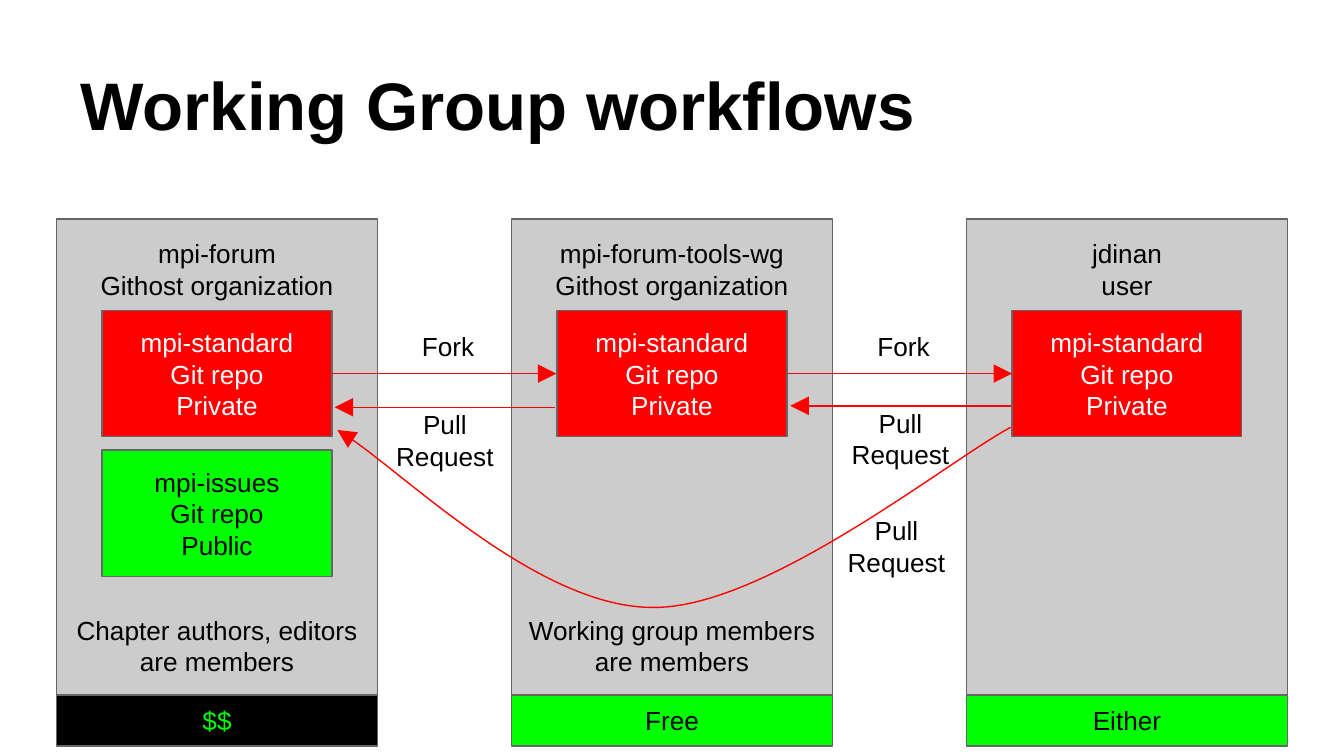
from lxml import etree
from pptx import Presentation
from pptx.dml.color import RGBColor
from pptx.enum.shapes import MSO_CONNECTOR, MSO_SHAPE
from pptx.enum.text import MSO_ANCHOR, PP_ALIGN
from pptx.oxml.ns import qn
from pptx.util import Inches, Pt

BLACK = RGBColor(0x00, 0x00, 0x00)
WHITE = RGBColor(0xFF, 0xFF, 0xFF)
RED = RGBColor(0xFF, 0x00, 0x00)
GREEN = RGBColor(0x00, 0xFF, 0x00)
PANEL_GREY = RGBColor(0xCC, 0xCC, 0xCC)
BORDER_GREY = RGBColor(0x66, 0x66, 0x66)

# Content
TITLE = "Working Group workflows"
STANDARD_REPO = (["mpi-standard", "Git repo", "Private"], RED, WHITE)
ISSUES_REPO = (["mpi-issues", "Git repo", "Public"], GREEN, BLACK)
OWNERS = [
    {"heading": ["mpi-forum", "Githost organization"],
     "members": "Chapter authors, editors are members",
     "repos": [STANDARD_REPO, ISSUES_REPO], "cost": ("$$", BLACK, GREEN)},
    {"heading": ["mpi-forum-tools-wg", "Githost organization"],
     "members": "Working group members are members",
     "repos": [STANDARD_REPO], "cost": ("Free", GREEN, BLACK)},
    {"heading": ["jdinan", "user"], "members": None,
     "repos": [STANDARD_REPO], "cost": ("Either", GREEN, BLACK)},
]
# Arrows: start x, end x, y
ARROWS = [(2.47, 4.14, 2.78), (5.86, 7.53, 2.78),
          (4.13, 2.49, 3.03), (7.52, 5.88, 3.02)]
# Labels: text, left, top, width, alignment
LABELS = [
    ("Fork", 3.04, 2.36, 0.71, PP_ALIGN.LEFT),
    ("Fork", 6.43, 2.36, 0.71, PP_ALIGN.LEFT),
    ("Pull Request", 2.7, 2.94, 1.22, PP_ALIGN.CENTER),
    ("Pull Request", 6.09, 2.93, 1.22, PP_ALIGN.CENTER),
    ("Pull Request", 6.06, 3.73, 1.22, PP_ALIGN.CENTER),
]
# Curved pull request: start, then three points for each Bezier segment
CURVE = [(7.52, 3.18), (7.08, 3.41), (5.71, 4.52), (4.87, 4.52),
         (4.04, 4.53), (2.9, 3.42), (2.51, 3.2)]

# Layout
SLIDE_WIDTH = 10
SLIDE_HEIGHT = SLIDE_WIDTH * 9 / 16
COLUMN_LEFT, COLUMN_STEP, COLUMN_WIDTH = 0.42, 6.77 / 2, 2.39
PANEL_TOP, PANEL_HEIGHT, COST_HEIGHT = 1.63, 3.54, 0.38
REPO_INDENT, REPO_TOP, REPO_STEP = 0.34, 2.31, 1.04
REPO_WIDTH, REPO_HEIGHT = 1.71, 0.94
LINE_PITCH = 16.8
MEMBERS_GAP = 10 * LINE_PITCH

presentation = Presentation()
presentation.slide_width = Inches(SLIDE_WIDTH)
presentation.slide_height = Inches(SLIDE_HEIGHT)
slide = presentation.slides.add_slide(presentation.slide_layouts[6])
shapes = slide.shapes


def write(shape, lines, color, align=PP_ALIGN.CENTER, anchor=MSO_ANCHOR.MIDDLE,
          size=14, bold=False, pitch=LINE_PITCH):
    frame = shape.text_frame
    frame.word_wrap = True
    frame.vertical_anchor = anchor
    frame.margin_left = frame.margin_right = Inches(0.1)
    frame.margin_top = frame.margin_bottom = Inches(0.1)
    for index, line in enumerate(lines):
        paragraph = frame.add_paragraph() if index else frame.paragraphs[0]
        paragraph.alignment = align
        if pitch:
            paragraph.line_spacing = Pt(pitch)
        run = paragraph.add_run()
        run.text = line
        run.font.name, run.font.size, run.font.bold = "Arial", Pt(size), bold
        run.font.color.rgb = color
    return frame


def add_text(lines, left, top, width, height, **style):
    box = shapes.add_textbox(*map(Inches, (left, top, width, height)))
    write(box, lines, BLACK, **style)


def add_box(left, top, width, height, fill):
    box = shapes.add_shape(MSO_SHAPE.RECTANGLE,
                           *map(Inches, (left, top, width, height)))
    box.shadow.inherit = False
    box.fill.solid()
    box.fill.fore_color.rgb = fill
    box.line.color.rgb = BORDER_GREY
    box.line.width = Pt(0.75)
    return box


def style_arrow(shape):
    shape.line.color.rgb = RED
    shape.line.width = Pt(0.75)
    etree.SubElement(shape.line._get_or_add_ln(), qn("a:tailEnd"),
                     type="triangle", w="lg", len="lg")


# Title
add_text([TITLE], 0.5, 0.23, 9, 0.94, align=PP_ALIGN.LEFT,
         anchor=MSO_ANCHOR.BOTTOM, size=36, bold=True, pitch=None)

# Owner columns with their repositories and cost bars
for column, owner in enumerate(OWNERS):
    left = COLUMN_LEFT + column * COLUMN_STEP
    panel = add_box(left, PANEL_TOP, COLUMN_WIDTH, PANEL_HEIGHT, PANEL_GREY)
    lines = owner["heading"] + ([owner["members"]] if owner["members"] else [])
    frame = write(panel, lines, BLACK, anchor=MSO_ANCHOR.TOP)
    frame.margin_top = Inches(0.14)
    if owner["members"]:
        frame.paragraphs[-1].space_before = Pt(MEMBERS_GAP)

    for row, (repo_lines, fill, color) in enumerate(owner["repos"]):
        repo = add_box(left + REPO_INDENT, REPO_TOP + row * REPO_STEP,
                       REPO_WIDTH, REPO_HEIGHT, fill)
        write(repo, repo_lines, color)

    cost, fill, color = owner["cost"]
    bar = add_box(left, PANEL_TOP + PANEL_HEIGHT, COLUMN_WIDTH, COST_HEIGHT, fill)
    write(bar, [cost], color)

# Straight arrows
for start, end, y in ARROWS:
    arrow = shapes.add_connector(MSO_CONNECTOR.STRAIGHT,
                                 *map(Inches, (start, y, end, y)))
    style_arrow(arrow)
    etree.SubElement(arrow._element.spPr, qn("a:effectLst"))

# Curved arrow: every three line points become one Bezier segment
points = [(Inches(x), Inches(y)) for x, y in CURVE]
builder = shapes.build_freeform(*points[0])
builder.add_line_segments(points[1:], close=False)
curve = builder.convert_to_shape()
curve.shadow.inherit = False
curve.fill.background()
style_arrow(curve)
outline = curve._element.spPr.find(".//" + qn("a:path"))
segments = outline.findall(qn("a:lnTo"))
for first in range(0, len(segments), 3):
    bezier = etree.SubElement(outline, qn("a:cubicBezTo"))
    for segment in segments[first:first + 3]:
        bezier.append(segment[0])
        outline.remove(segment)

# Arrow labels
for text, left, top, width, align in LABELS:
    add_text([text], left, top, width, 0.56, align=align, anchor=MSO_ANCHOR.TOP)

presentation.save("out.pptx")
